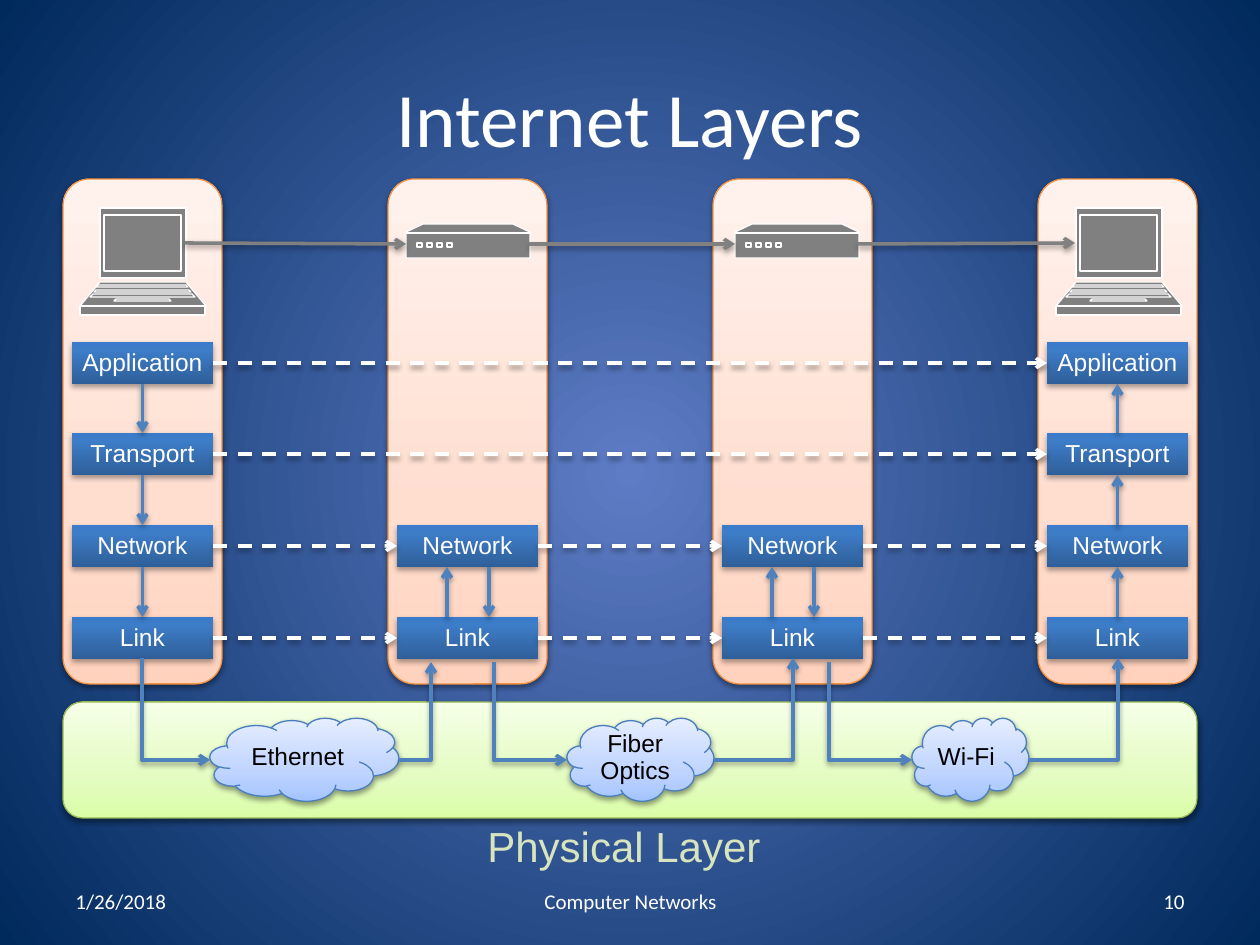
from lxml import etree
from pptx import Presentation
from pptx.dml.color import RGBColor
from pptx.enum.dml import MSO_LINE
from pptx.enum.shapes import MSO_CONNECTOR, MSO_SHAPE
from pptx.enum.text import MSO_ANCHOR, PP_ALIGN
from pptx.oxml.ns import qn
from pptx.util import Emu, Pt

STRAIGHT, ELBOW = MSO_CONNECTOR.STRAIGHT, MSO_CONNECTOR.ELBOW
RECT, ROUNDED, CLOUD = MSO_SHAPE.RECTANGLE, MSO_SHAPE.ROUNDED_RECTANGLE, MSO_SHAPE.CLOUD
LEFT, CENTER, RIGHT = PP_ALIGN.LEFT, PP_ALIGN.CENTER, PP_ALIGN.RIGHT
MIDDLE, TOP = MSO_ANCHOR.MIDDLE, MSO_ANCHOR.TOP
DASH = MSO_LINE.DASH
SIDE_TOP, SIDE_LEFT, SIDE_BOTTOM, SIDE_RIGHT = range(4)
SCALE = 914400 / 126

COLORS = {
    "white": "FFFFFF", "black": "000000", "gray": "808080", "arrow": "4F81BD",
    "host_line": "F69240", "physical_line": "98B955", "cloud_line": "4B7EBC",
    "physical_text": "D7E4BD",
}
GRADIENTS = {
    "background": [(0, "5E7CC5"), (100, "00295C")],
    "physical": [(0, "DAFDA7"), (35, "E4FCC2"), (100, "F5FFE7")],
    "host": [(0, "FFD2BD"), (35, "FFDED0"), (100, "FFF2ED")],
    "layer": [(0, "2F5F99"), (80, "3D7CC7"), (100, "3A7CCB")],
    "cloud": [(0, "A4C4FF"), (35, "BFD4FF"), (100, "E6EEFF")],
}


def px(length):
    return Emu(round(length * SCALE))


def color(name):
    return RGBColor.from_string(COLORS[name])


def add(parent, tag, **attributes):
    return etree.SubElement(parent, qn(tag), {key: str(value) for key, value in attributes.items()})


class Diagram:
    def __init__(self, page):
        self.page = page
        self.shapes = page.shapes

    def gradient(self, fill, element, name):
        fill.gradient()
        grad = element.find(".//" + qn("a:gradFill"))
        for child in list(grad):
            grad.remove(child)
        stops = add(grad, "a:gsLst")
        for position, value in GRADIENTS[name]:
            add(add(stops, "a:gs", pos=position * 1000), "a:srgbClr", val=value)
        return grad

    def background(self):
        grad = self.gradient(self.page.background.fill, self.page._element, "background")
        circle = add(grad, "a:path", path="circle")
        add(circle, "a:fillToRect", l=50000, t=50000, r=50000, b=50000)

    def shadow(self, effects, distance, opacity):
        outer = add(effects, "a:outerShdw", blurRad=40000, dist=distance, dir=5400000, rotWithShape=0)
        add(add(outer, "a:srgbClr", val=COLORS["black"]), "a:alpha", val=opacity * 1000)

    def add_text(self, frame, text, size, font, ink, align, spacing=None):
        para = frame.paragraphs[0]
        para.alignment = align
        if spacing:
            para.line_spacing = spacing
        span = para.add_run()
        span.text = text
        span.font.size = Pt(size)
        span.font.name = font
        span.font.color.rgb = color(ink)

    def text(self, x, y, w, h, text, size, font, ink, align, anchor=MIDDLE, wrap=True, spacing=None):
        frame = self.shapes.add_textbox(px(x), px(y), px(w), px(h)).text_frame
        frame.word_wrap = wrap
        frame.vertical_anchor = anchor
        self.add_text(frame, text, size, font, ink, align, spacing)

    def box(self, kind, x, y, w, h, fill, line=None, text=None, ink="white"):
        box = self.shapes.add_shape(kind, px(x), px(y), px(w), px(h))
        grad = self.gradient(box.fill, box._element, fill)
        add(grad, "a:lin", ang=16200000, scaled=0)
        if line:
            box.line.color.rgb = color(line)
            box.line.width = Pt(0.75)
        else:
            box.line.fill.background()
        box.shadow.inherit = False
        effects = box._element.spPr.find(qn("a:effectLst"))
        self.shadow(effects, *((20000, 38) if line else (23000, 35)))
        if text:
            frame = box.text_frame
            frame.word_wrap = True
            frame.vertical_anchor = MIDDLE
            frame.margin_left = frame.margin_right = 0
            self.add_text(frame, text, 14, "Arial", ink, CENTER, 0.93)
        return box

    def icon(self, x, outlines):
        builder = None
        for outline in outlines:
            points = [(x + dx, y) for dx, y in outline]
            if builder is None:
                builder = self.shapes.build_freeform(*points[0], scale=SCALE)
            else:
                builder.move_to(*points[0])
            builder.add_line_segments(points[1:], close=True)
        icon = builder.convert_to_shape()
        icon.fill.solid()
        icon.fill.fore_color.rgb = color("gray")
        icon.line.color.rgb = color("white")
        icon.line.width = Pt(0.75)
        icon.shadow.inherit = False
        merged = icon._element.find(".//" + qn("a:path"))
        outline_list = merged.getparent()
        for step in list(merged):
            if step.tag == qn("a:moveTo"):
                part = add(outline_list, "a:path", **dict(merged.attrib))
            part.append(step)
        outline_list.remove(merged)

    def arrow(self, start, end, ink, kind=STRAIGHT, dash=None, tip="a:tailEnd"):
        arrow = self.shapes.add_connector(kind, *map(px, start + end))
        arrow.line.color.rgb = color(ink)
        arrow.line.width = Pt(2)
        if dash:
            arrow.line.dash_style = dash
        properties = arrow._element.spPr
        add(properties.find(qn("a:ln")), tip, type="arrow")
        self.shadow(add(properties, "a:effectLst"), 20000, 38)
        if kind == ELBOW:
            properties.find(qn("a:prstGeom")).set("prst", "bentConnector2")
        return arrow

    def join(self, first, first_side, second, second_side, ink, dash=None):
        arrow = self.arrow((0, 0), (0, 0), ink, dash=dash)
        arrow.begin_connect(first, first_side)
        arrow.end_connect(second, second_side)


def rectangle(left, top, right, bottom):
    return [(left, top), (right, top), (right, bottom), (left, bottom)]


def trapezoid(left, top, right, bottom, slope):
    return [(left, top), (left - slope, bottom), (right + slope, bottom), (right, top)]


LAPTOP = [
    rectangle(20, 208, 106, 278), trapezoid(20, 282, 106, 306, 20), rectangle(0, 306, 125, 315),
    rectangle(24, 215, 101, 271), trapezoid(18, 285, 106, 287, 2), trapezoid(36, 299, 89, 301, 2),
    trapezoid(16, 290, 109, 292, 2), trapezoid(13, 294, 112, 297, 3),
]
ROUTER = [
    [(0, 232), (17, 224), (107, 224), (124, 232), (124, 258), (0, 258)], [(0, 233), (124, 233)],
] + [rectangle(11 + 10 * led, 243, 16 + 10 * led, 247) for led in range(4)]
LAYERS = ["Application", "Transport", "Network", "Link"]
HOSTS = [(80, LAPTOP, 0), (406, ROUTER, 2), (735, ROUTER, 2), (1056, LAPTOP, 0)]
CLOUDS = [
    ("Ethernet", 210, 189, (142, 658), (431, 662)),
    ("Fiber Optics", 567, 147, (494, 662), (793, 658)),
    ("Wi-Fi", 912, 117, (829, 662), (1118, 658)),
]


def main():
    deck = Presentation()
    deck.slide_width, deck.slide_height = px(1260), px(945)
    diagram = Diagram(deck.slides.add_slide(deck.slide_layouts[6]))
    diagram.background()
    diagram.box(ROUNDED, 63, 702, 1134, 116, "physical", "physical_line")
    diagram.text(63, 38, 1134, 157, "Internet Layers", 44, "Calibri", "white", CENTER)
    for x, w, text, align in [(63, 294, "1/26/2018", LEFT), (903, 294, "10", RIGHT),
                              (431, 399, "Computer Networks", CENTER)]:
        diagram.text(x, 876, w, 50, text, 12, "Calibri", "white", align)

    stacks = []
    for column, (icon_x, outlines, first_row) in enumerate(HOSTS):
        x = 63 + 325 * column
        diagram.box(ROUNDED, x, 179, 159, 505, "host", "host_line")
        diagram.icon(icon_x, outlines)
        stack = {}
        for row in range(first_row, len(LAYERS)):
            stack[row] = diagram.box(RECT, x + 9, 342 + row * 275 // 3, 141, 42, "layer", text=LAYERS[row])
        stacks.append(stack)
        if outlines is ROUTER:
            diagram.arrow((x + 59, 617), (x + 59, 567), "arrow")
            diagram.arrow((x + 101, 567), (x + 101, 617), "arrow")

    for row in range(len(LAYERS) - 1):
        diagram.join(stacks[0][row], SIDE_BOTTOM, stacks[0][row + 1], SIDE_TOP, "arrow")
        diagram.join(stacks[-1][row + 1], SIDE_TOP, stacks[-1][row], SIDE_BOTTOM, "arrow")

    for name, x, w, source, target in CLOUDS:
        diagram.box(CLOUD, x, 718, w, 83, "cloud", "cloud_line", name, "black")
        diagram.arrow((x, 760), source, "arrow", ELBOW, tip="a:headEnd")
        diagram.arrow((x + w, 760), target, "arrow", ELBOW)

    for start, end in [((185, 243), (406, 244)), ((529, 244), (735, 244)), ((858, 244), (1075, 243))]:
        diagram.arrow(start, end, "gray")
    diagram.text(475, 819, 301, 60, "Physical Layer", 24, "Arial", "physical_text", LEFT, TOP, False, 0.93)

    for row in range(len(LAYERS)):
        peers = [stack[row] for stack in stacks if row in stack]
        for sender, receiver in zip(peers, peers[1:]):
            diagram.join(sender, SIDE_RIGHT, receiver, SIDE_LEFT, "white", DASH)
    deck.save("out.pptx")


if __name__ == "__main__":
    main()
